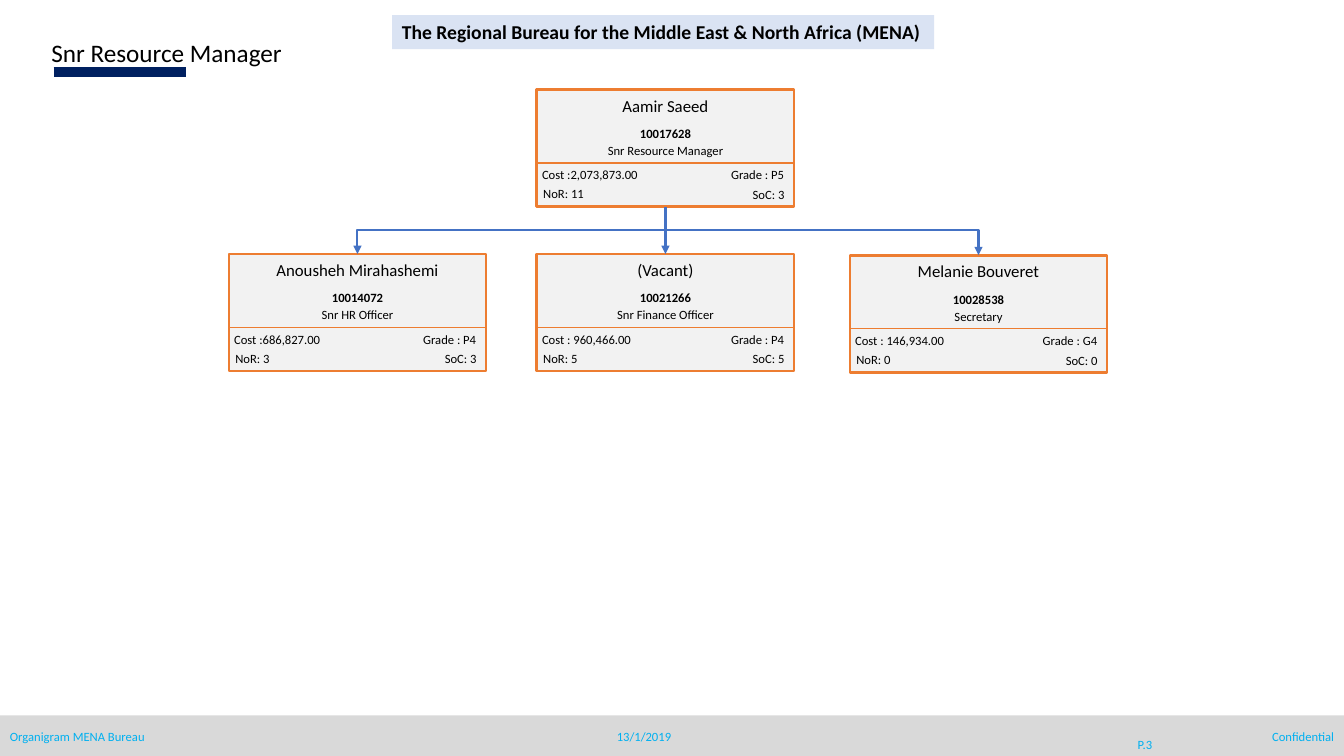
from lxml import etree
from pptx import Presentation
from pptx.dml.color import RGBColor
from pptx.enum import shapes, text
from pptx.oxml.ns import qn
from pptx.util import Cm, Pt

BLACK = RGBColor(0x00, 0x00, 0x00)
NAVY = RGBColor(0x00, 0x20, 0x60)
BLUE = RGBColor(0x44, 0x72, 0xC4)
PALE_BLUE = RGBColor(0xDA, 0xE3, 0xF3)
SKY = RGBColor(0x00, 0xB0, 0xF0)
ORANGE = RGBColor(0xED, 0x7D, 0x31)
CARD_GRAY = RGBColor(0xF2, 0xF2, 0xF2)
FOOTER_GRAY = RGBColor(0xD9, 0xD9, 0xD9)

LEFT, CENTER, RIGHT = text.PP_ALIGN.LEFT, text.PP_ALIGN.CENTER, text.PP_ALIGN.RIGHT
TOP, MIDDLE = text.MSO_ANCHOR.TOP, text.MSO_ANCHOR.MIDDLE
CARD_W, CARD_H = 6.48, 2.95
BUS_Y = 5.8


class Organigram:
    """Draws on one slide; all lengths are in centimetres."""

    def __init__(self, s, font="Calibri"):
        self.s = s
        self.font = font

    def set_text(self, sp, words, size=9, color=BLACK, bold=False, align=LEFT,
                 anchor=TOP, wrap=True):
        tf = sp.text_frame
        tf.word_wrap = wrap
        tf.auto_size = text.MSO_AUTO_SIZE.NONE
        tf.vertical_anchor = anchor
        p = tf.paragraphs[0]
        p.text = words
        p.alignment = align
        p.font.name, p.font.size, p.font.bold = self.font, Pt(size), bold
        p.font.color.rgb = color

    def title(self, words, x, y, w, h):
        sp = self.s.shapes.title
        sp.left, sp.top, sp.width, sp.height = Cm(x), Cm(y), Cm(w), Cm(h)
        self.set_text(sp, words, 18)

    def label(self, words, x, y, w, h=0.64, **style):
        sp = self.s.shapes.add_textbox(Cm(x), Cm(y), Cm(w), Cm(h))
        self.set_text(sp, words, **style)

    def box(self, x, y, w, h, fill, line=None):
        sp = self.s.shapes.add_shape(shapes.MSO_SHAPE.RECTANGLE, Cm(x), Cm(y), Cm(w), Cm(h))
        sp.shadow.inherit = False
        sp.fill.solid()
        sp.fill.fore_color.rgb = fill
        if line is None:
            sp.line.fill.background()
        else:
            sp.line.color.rgb = line
            sp.line.width = Pt(2)
        return sp

    def line(self, x1, y1, x2, y2, color, width, kind=shapes.MSO_CONNECTOR.STRAIGHT):
        c = self.s.shapes.add_connector(kind, Cm(x1), Cm(y1), Cm(x2), Cm(y2))
        c.line.color.rgb = color
        c.line.width = Pt(width)
        etree.SubElement(c._element.spPr, qn("a:effectLst"))
        return c

    def arrow(self, x1, y1, x2, y2, bent=False):
        """Straight arrow, or one that runs sideways and then turns down."""
        kind = shapes.MSO_CONNECTOR.ELBOW if bent else shapes.MSO_CONNECTOR.STRAIGHT
        c = self.line(x1, y1, x2, y2, BLUE, 1.5, kind)
        if bent:
            c._element.spPr.find(qn("a:prstGeom")).set("prst", "bentConnector2")
        etree.SubElement(c._element.spPr.find(qn("a:ln")), qn("a:tailEnd"), type="triangle")
        return c

    def card(self, x, y, name, number, role, cost, grade, nor, soc):
        sp = self.box(x, y, CARD_W, CARD_H, CARD_GRAY, ORANGE)
        self.label(name, x, y + 0.02, CARD_W, 0.78, size=12, align=CENTER)
        self.label(number, x, y + 0.79, CARD_W, bold=True, align=CENTER)
        self.label(role, x, y + 1.22, CARD_W, align=CENTER)
        self.line(x, y + 1.85, x + CARD_W, y + 1.85, ORANGE, 1)
        self.label(cost, x - 0.12, y + 1.83, 3.12)
        self.label(grade, x + 3.38, y + 1.83, 3.1, align=RIGHT)
        self.label(nor, x - 0.09, y + 2.31, 2)
        self.label(soc, x + 3.89, y + 2.33, 2.6, align=RIGHT)
        return sp


def main():
    prs = Presentation()
    prs.slide_width, prs.slide_height = Cm(33.87), Cm(19.05)
    chart = Organigram(prs.slides.add_slide(prs.slide_layouts[5]))

    chart.title("Snr Resource Manager", 1.04, 0.81, 13.46, 1.04)
    chart.line(1.35, 1.81, 4.68, 1.81, NAVY, 7)
    header = chart.box(9.88, 0.38, 13.66, 0.86, PALE_BLUE)
    chart.set_text(header, "The Regional Bureau for the Middle East & North Africa (MENA)",
                   14, bold=True, wrap=False)

    boss = chart.card(13.53, 2.26, "Aamir Saeed", "10017628", "Snr Resource Manager",
                      "Cost :2,073,873.00", "Grade : P5", "NoR: 11", "SoC: 3")
    hr, finance, secretary = [chart.card(*row) for row in (
        (5.77, 6.4, "Anousheh Mirahashemi", "10014072", "Snr HR Officer",
         "Cost :686,827.00", "Grade : P4", "NoR: 3", "SoC: 3"),
        (13.53, 6.4, "(Vacant)", "10021266", "Snr Finance Officer",
         "Cost : 960,466.00", "Grade : P4", "NoR: 5", "SoC: 5"),
        (21.42, 6.43, "Melanie Bouveret", "10028538", "Secretary",
         "Cost : 146,934.00", "Grade : G4", "NoR: 0", "SoC: 0"),
    )]

    middle = (boss.left + boss.width / 2) / Cm(1)
    down = chart.arrow(middle, 5.21, middle, 6.4)
    down.begin_connect(boss, 2)
    down.end_connect(finance, 0)
    for sp in (hr, secretary):
        chart.arrow(middle, BUS_Y, (sp.left + sp.width / 2) / Cm(1), sp.top / Cm(1), bent=True)

    chart.box(0, 18.03, 33.87, 1.04, FOOTER_GRAY)
    chart.label("Organigram MENA Bureau", 0, 18.24, 7.82, color=SKY)
    chart.label("13/1/2019", 15.11, 18.24, 2.24, color=SKY, align=CENTER, anchor=MIDDLE)
    chart.label("P.3", 27.84, 18.24, 2.03, 1.02, color=SKY, align=CENTER, anchor=MIDDLE)
    chart.label("Confidential", 26.05, 18.24, 7.82, color=SKY, align=RIGHT)

    prs.save("out.pptx")


if __name__ == "__main__":
    main()
